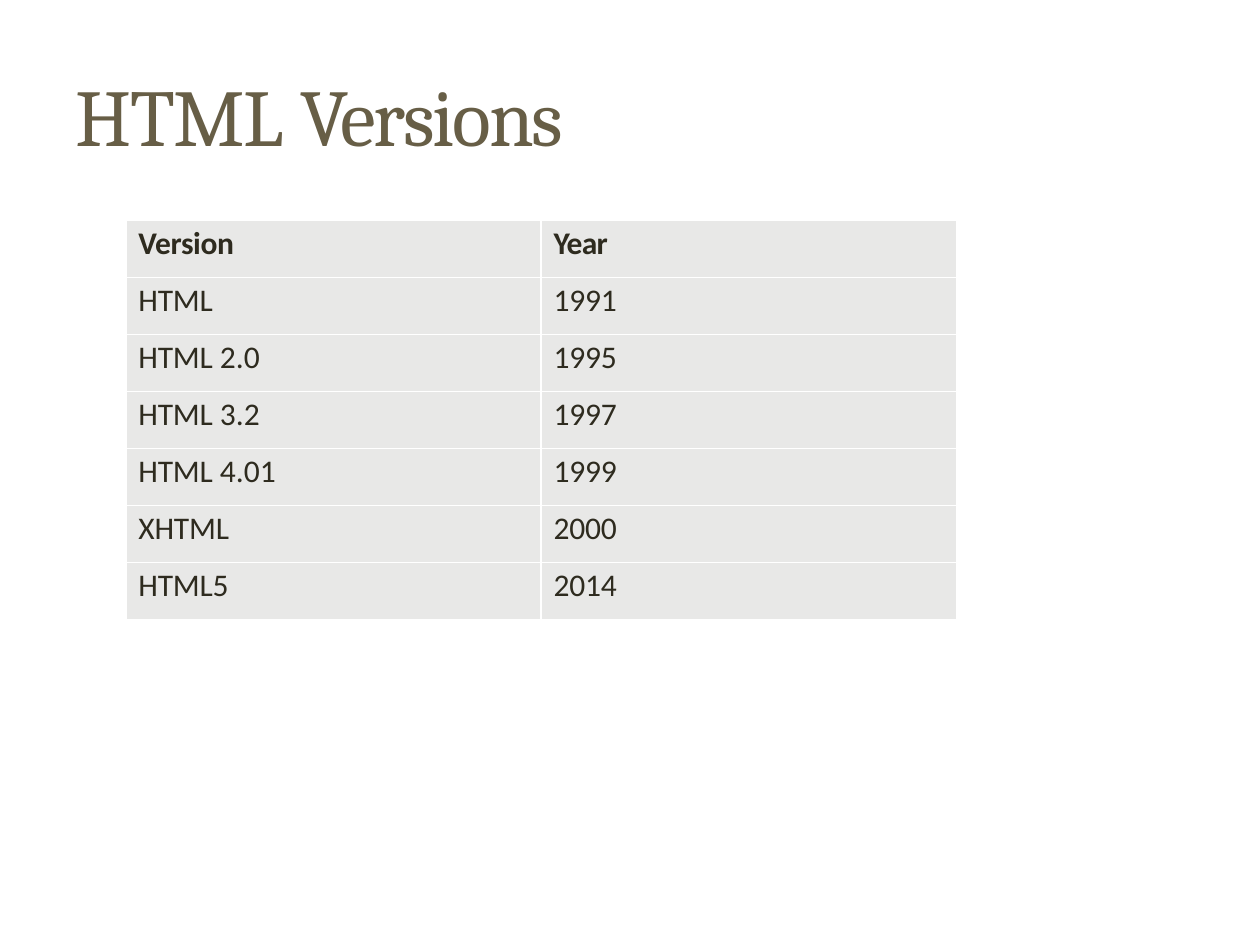
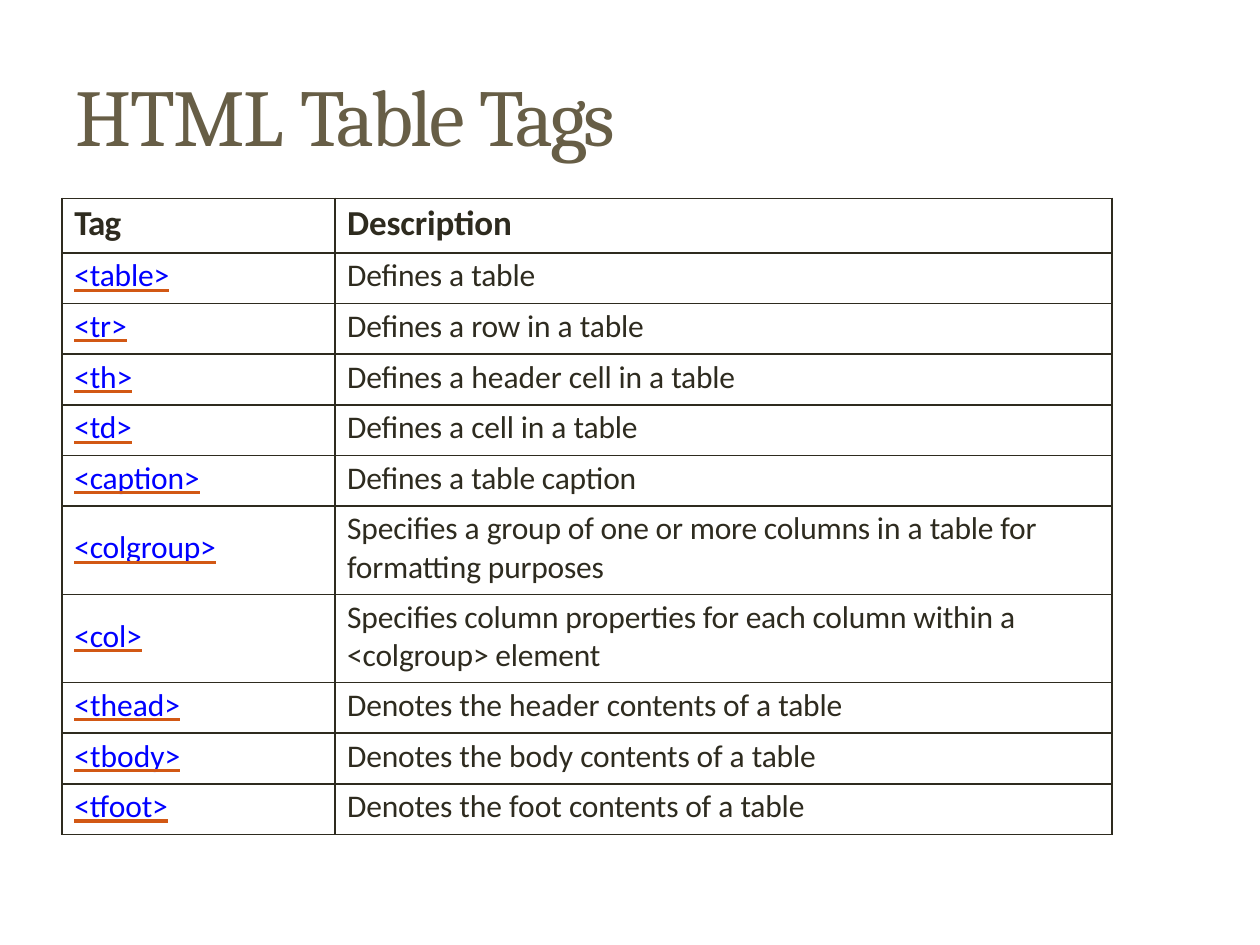
"""Builds two slides with tables of HTML versions and HTML table tags."""
from dataclasses import dataclass

from pptx import Presentation
from pptx.dml.color import RGBColor as Rgb
from pptx.enum.text import MSO_ANCHOR as Anchor
from pptx.oxml import parse_xml
from pptx.oxml.ns import nsdecls
from pptx.util import Cm, Pt


@dataclass(frozen=True)
class Theme:
    """Colours, fonts and type sizes shared by the slides."""
    title_color: str = "675E46"
    text_color: str = "2E2B1F"
    link_color: str = "0000FF"
    underline_color: str = "D25814"
    cell_color: str = "E8E8E7"
    white: str = "FFFFFF"
    title_font: str = "Cambria"
    body_font: str = "Calibri"
    title_size: int = 46
    header_size: int = 20
    body_size: int = 18
    tight: float = -0.1


THEME = Theme()

VERSIONS = [
    ("HTML", "1991"),
    ("HTML |2.0", "1995"),
    ("HTML |3.2", "1997"),
    ("HTML |4.01", "1999"),
    ("XHTML", "2000"),
    ("HTML5", "2014"),
]

TAGS = [
    ("<table>", "Defines |a |table"),
    ("<tr>", "Defines |a |row in |a |table"),
    ("<th>", "Defines |a header |cell in |a |table"),
    ("<td>", "Defines |a |cell in |a |table"),
    ("<caption>", "Defines |a |table caption"),
    ("<colgroup>", "Specifies |a |group of one or more columns in |a "
                   "|table for formatting purposes"),
    ("<col>", "Specifies column properties for each column within |a\n"
              "<colgroup> element"),
    ("|<thead>", "Denotes |the header |contents of |a |table"),
    ("|<tbody>", "Denotes |the body |contents of |a |table"),
    ("<tfoot>", "Denotes |the foot |contents of |a |table"),
]


def add_run(paragraph, text, size, color, font_name, spacing, bold=False, linked=False):
    """Add one formatted run, underlined in the accent colour if linked."""
    run = paragraph.add_run()
    run.text = text
    font = run.font
    font.size, font.bold = Pt(size), bold
    font.color.rgb = Rgb.from_string(color)
    properties = run._r.get_or_add_rPr()
    properties.set("spc", str(round(spacing * 100)))
    if linked:
        font.underline = True
        properties.append(parse_xml(
            f'<a:uFill {nsdecls("a")}><a:solidFill>'
            f'<a:srgbClr val="{THEME.underline_color}"/></a:solidFill></a:uFill>'))
    font.name = font_name


def add_title(slide, width, pieces):
    """Add the slide title from pairs of text and letter spacing."""
    frame = slide.shapes.add_textbox(Cm(1.5), Cm(1.3), Cm(width), Cm(2)).text_frame
    frame.word_wrap = True
    frame.margin_left = frame.margin_top = Cm(0.03)
    frame.margin_right = frame.margin_bottom = 0
    for text, spacing in pieces:
        add_run(frame.paragraphs[0], text, THEME.title_size, THEME.title_color,
                THEME.title_font, spacing)


def style_cell(cell, border_color, fill_color, margin_top=0.08):
    """Set the borders, fill and margins of a cell."""
    properties = cell._tc.get_or_add_tcPr()
    for side in "LRTB":
        properties.append(parse_xml(
            f'<a:ln{side} {nsdecls("a")} w="{Pt(1)}"><a:solidFill>'
            f'<a:srgbClr val="{border_color}"/></a:solidFill></a:ln{side}>'))
    if fill_color:
        cell.fill.solid()
        cell.fill.fore_color.rgb = Rgb.from_string(fill_color)
    else:
        cell.fill.background()
    cell.margin_left, cell.margin_top = Cm(0.25), Cm(margin_top)
    cell.margin_right = cell.margin_bottom = 0
    cell.vertical_anchor = Anchor.TOP


def fill_header(cell, text, spacing, size):
    """Write a bold column heading."""
    add_run(cell.text_frame.paragraphs[0], text, size, THEME.text_color,
            THEME.body_font, spacing, bold=True)


def fill_body(cell, text, linked=False):
    """Write lines whose runs, split at bars, alternate tight and normal spacing."""
    frame = cell.text_frame
    color = THEME.link_color if linked else THEME.text_color
    for number, line in enumerate(text.split("\n")):
        paragraph = frame.add_paragraph() if number else frame.paragraphs[0]
        for position, piece in enumerate(line.split("|")):
            if piece:
                spacing = 0 if position % 2 else THEME.tight
                add_run(paragraph, piece, THEME.body_size, color, THEME.body_font,
                        spacing, linked=linked)


def add_grid(slide, left, top, widths, heights):
    """Add an unstyled table with the given column widths and row heights."""
    table = slide.shapes.add_table(
        len(heights), len(widths), Cm(left), Cm(top),
        Cm(sum(widths)), Cm(sum(heights))).table
    table.first_row = table.horz_banding = False
    for column, width in zip(table.columns, widths):
        column.width = Cm(width)
    for row, height in zip(table.rows, heights):
        row.height = Cm(height)
    return table


def add_versions_slide(presentation):
    """Add the slide listing HTML versions by year."""
    slide = presentation.slides.add_slide(presentation.slide_layouts[6])
    add_title(slide, 10.24, [("HTML ", -0.8), ("Versions", -1.3)])
    table = add_grid(slide, 2.54, 4.45, [8.37] * 2, [1.15] * (len(VERSIONS) + 1))
    for cell in table.iter_cells():
        style_cell(cell, THEME.white, THEME.cell_color)
    fill_header(table.cell(0, 0), "Version", -0.2, THEME.body_size)
    fill_header(table.cell(0, 1), "Year", -0.4, THEME.body_size)
    for row, texts in enumerate(VERSIONS, start=1):
        for column, text in enumerate(texts):
            fill_body(table.cell(row, column), text)


def add_tags_slide(presentation):
    """Add the slide describing the HTML table tags."""
    slide = presentation.slides.add_slide(presentation.slide_layouts[6])
    add_title(slide, 11.43, [("HTML ", -0.8), ("Table ", -1.6), ("Tags", -1.7)])
    tall_tags = ("<colgroup>", "<col>")
    heights = [1.1] + [1.78 if tag in tall_tags else 1.02 for tag, _ in TAGS]
    table = add_grid(slide, 1.25, 4, [5.5, 15.67], heights)
    for column, (text, spacing) in enumerate([("Tag", -0.5), ("Description", -0.1)]):
        header = table.cell(0, column)
        style_cell(header, THEME.text_color, None)
        fill_header(header, text, spacing, THEME.header_size)
    for row, (tag, description) in enumerate(TAGS, start=1):
        tag_cell, description_cell = table.cell(row, 0), table.cell(row, 1)
        style_cell(tag_cell, THEME.text_color, None, 0.46 if tag in tall_tags else 0.08)
        style_cell(description_cell, THEME.text_color, None)
        fill_body(tag_cell, tag, linked=True)
        fill_body(description_cell, description)


def main():
    """Build and save the presentation."""
    presentation = Presentation()
    presentation.slide_width, presentation.slide_height = Cm(25.4), Cm(19.05)
    add_versions_slide(presentation)
    add_tags_slide(presentation)
    presentation.save("out.pptx")


if __name__ == "__main__":
    main()
